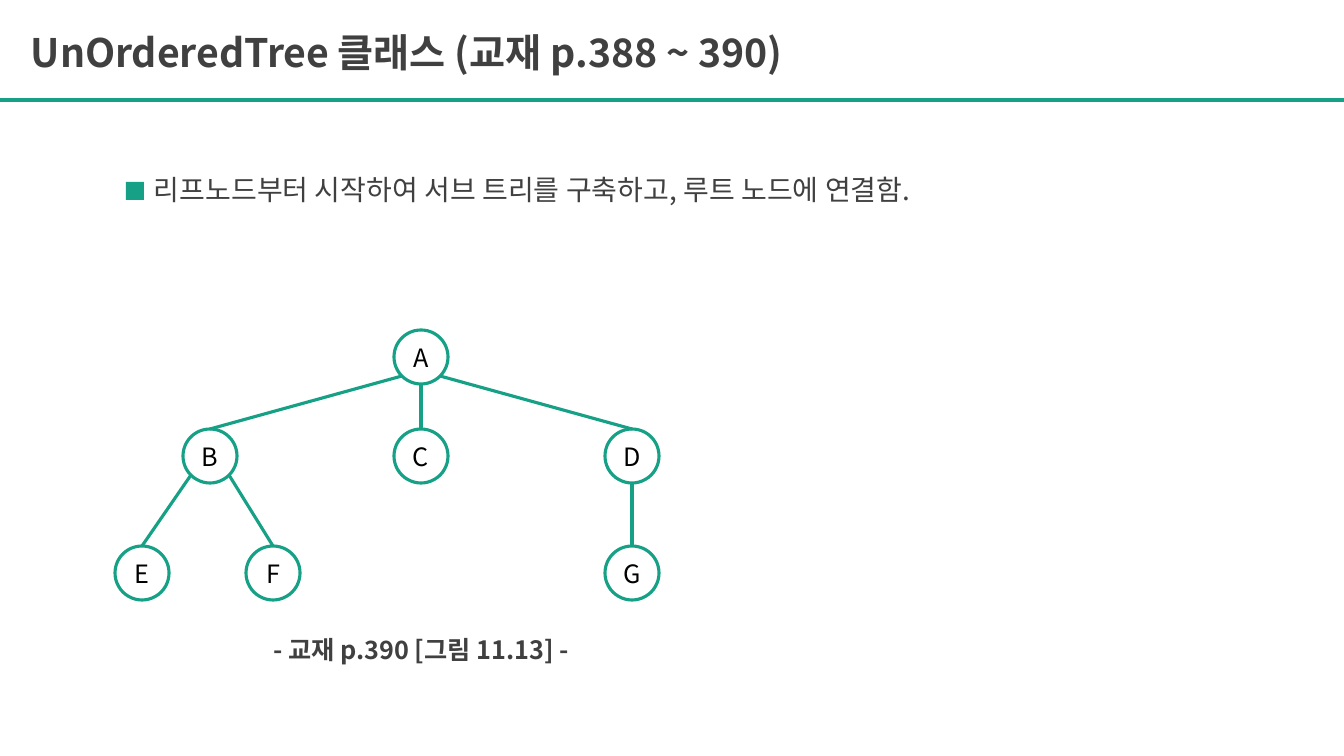
from lxml import etree
from pptx import Presentation
from pptx.dml.color import RGBColor
from pptx.enum.shapes import MSO_CONNECTOR, MSO_SHAPE
from pptx.enum.text import MSO_ANCHOR, PP_ALIGN
from pptx.oxml.ns import qn
from pptx.util import Pt

PX = 914400 / 100.8
FONT = "Noto Sans CJK KR"
COLORS = {"green": "16A085", "gray": "404040", "black": "000000"}
LEFT, CENTER = PP_ALIGN.LEFT, PP_ALIGN.CENTER
TOP, MIDDLE = MSO_ANCHOR.TOP, MSO_ANCHOR.MIDDLE
STRAIGHT = MSO_CONNECTOR.STRAIGHT
OVAL, RECTANGLE = MSO_SHAPE.OVAL, MSO_SHAPE.RECTANGLE

presentation = Presentation()
presentation.slide_width = round(1344 * PX)
presentation.slide_height = round(756 * PX)
slide = presentation.slides.add_slide(presentation.slide_layouts[6])


def write_text(shape, text, size, color, bold, align, frame_format):
    for name, value in frame_format.items():
        setattr(shape.text_frame, name, value)
    paragraph = shape.text_frame.paragraphs[0]
    paragraph.alignment = align
    run = paragraph.add_run()
    run.text = text
    for name, value in {"name": FONT, "size": Pt(size), "bold": bold}.items():
        setattr(run.font, name, value)
    run.font.color.rgb = RGBColor.from_string(COLORS[color])
    east_asian = etree.SubElement(run.font._element, qn("a:ea"))
    east_asian.set("typeface", FONT)


def add_line(points, width):
    connector = slide.shapes.add_connector(STRAIGHT, *[round(value * PX) for value in points])
    connector.line.color.rgb = RGBColor.from_string(COLORS["green"])
    connector.line.width = Pt(width)
    etree.SubElement(connector._element.spPr, qn("a:effectLst"))


add_line((0, 100, 1344, 100), 3)

bullet = slide.shapes.add_shape(RECTANGLE, *[round(value * PX) for value in (126, 182, 18, 18)])
bullet.shadow.inherit = False
bullet.fill.solid()
bullet.fill.fore_color.rgb = RGBColor.from_string(COLORS["green"])
bullet.line.fill.background()

texts = [
    ((21, 23, 1023, 57), "UnOrderedTree 클래스 (교재 p.388 ~ 390)", 28, True, LEFT),
    ((144, 168, 1151, 44), "리프노드부터 시작하여 서브 트리를 구축하고, 루트 노드에 연결함.", 20, False, LEFT),
    ((247, 629, 348, 40), "- 교재 p.390 [그림 11.13] -", 18, True, CENTER),
]
for box, text, size, bold, align in texts:
    textbox = slide.shapes.add_textbox(*[round(value * PX) for value in box])
    write_text(textbox, text, size, "gray", bold, align,
               {"word_wrap": True, "vertical_anchor": TOP})

RADIUS = 27
DIAGONAL = 19
nodes = {
    "A": (421, 357),
    "B": (210, 456), "C": (421, 456), "D": (632, 456),
    "E": (142, 573), "F": (273, 573), "G": (632, 573),
}
edges = ["AB", "AC", "AD", "BE", "BF", "DG"]

for parent, child in edges:
    parent_x, parent_y = nodes[parent]
    child_x, child_y = nodes[child]
    side = (child_x > parent_x) - (child_x < parent_x)
    drop = DIAGONAL if side else RADIUS
    add_line((child_x, child_y - RADIUS, parent_x + side * DIAGONAL, parent_y + drop), 2.25)

node_format = {"word_wrap": False, "vertical_anchor": MIDDLE, "margin_left": 0,
               "margin_right": 0, "margin_top": 0, "margin_bottom": 0}
for label, (x, y) in nodes.items():
    box = (x - RADIUS, y - RADIUS, 2 * RADIUS, 2 * RADIUS)
    circle = slide.shapes.add_shape(OVAL, *[round(value * PX) for value in box])
    circle.shadow.inherit = False
    circle.fill.background()
    circle.line.color.rgb = RGBColor.from_string(COLORS["green"])
    circle.line.width = Pt(2.25)
    write_text(circle, label, 18, "black", False, CENTER, node_format)

presentation.save("out.pptx")
